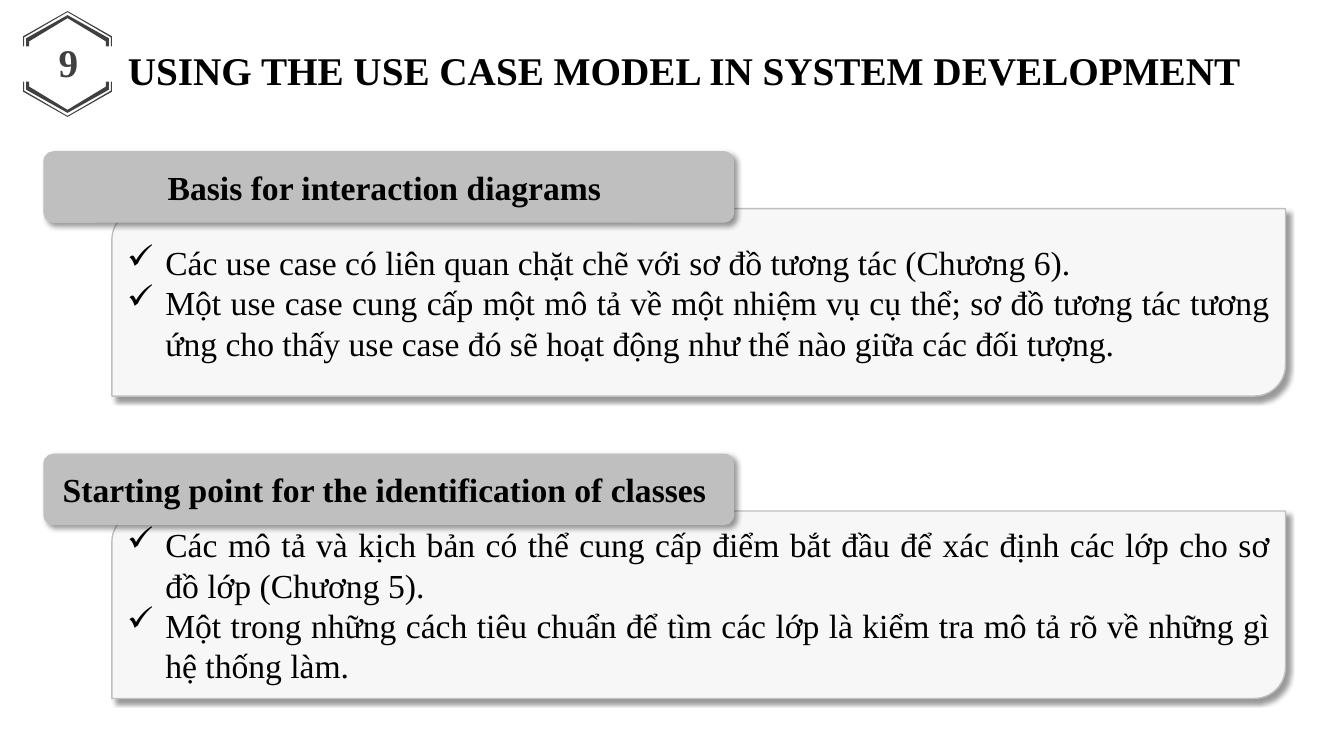
"""Builds the slide on using the use case model in system development."""
from lxml import etree
from pptx import Presentation, util as u
from pptx.dml.color import RGBColor
from pptx.enum import shapes, text
from pptx.oxml import ns

TITLE = "USING THE USE CASE MODEL IN SYSTEM DEVELOPMENT"
NUMBER = "9"
SECTIONS = [
    ("Basis for interaction diagrams ", [
        "Các use case có liên quan chặt chẽ với sơ đồ tương tác (Chương 6).",
        "Một use case cung cấp một mô tả về một nhiệm vụ cụ thể; sơ đồ tương tác "
        "tương ứng cho thấy use case đó sẽ hoạt động như thế nào giữa các đối tượng.",
    ]),
    ("Starting point for the identification of classes ", [
        "Các mô tả và kịch bản có thể cung cấp điểm bắt đầu để xác định các lớp "
        "cho sơ đồ lớp (Chương 5).",
        "Một trong những cách tiêu chuẩn để tìm các lớp là kiểm tra mô tả rõ về "
        "những gì hệ thống làm.",
    ]),
]

BLACK = RGBColor(0x00, 0x00, 0x00)
DARK = RGBColor(0x40, 0x40, 0x40)
GREY = RGBColor(0xBF, 0xBF, 0xBF)
PALE = RGBColor(0xF7, 0xF7, 0xF7)
FONT = "Times New Roman"

FIRST_TOP, PITCH = 1.5, 3
PANEL_DROP = 0.57
INDENT = 0.38
BADGE_X, BADGE_Y = 0.67, 0.635
BADGE_CUT = 0.175
# half width, apex and shoulder distance from the badge centre, line thickness
BADGE_RINGS = [(0.44, 0.525, 0.275, 0.01), (0.41, 0.485, 0.255, 0.03)]


def inches(*values):
    return [u.Inches(v) for v in values]


def add_run(p, words, size, color=BLACK, bold=False):
    r = p.add_run()
    r.text = words
    r.font.name, r.font.size, r.font.bold = FONT, u.Pt(size), bold
    r.font.color.rgb = color


def add_shadow(sp):
    effects = etree.SubElement(sp._element.spPr, ns.qn("a:effectLst"))
    shadow = etree.SubElement(effects, ns.qn("a:outerShdw"), blurRad=str(u.Pt(4)),
                              dist=str(u.Pt(3)), dir=str(45 * 60000),
                              algn="tl", rotWithShape="0")
    color = etree.SubElement(shadow, ns.qn("a:srgbClr"), val="000000")
    etree.SubElement(color, ns.qn("a:alpha"), val="40000")


def add_box(s, kind, place, fill, line=None):
    sp = s.shapes.add_shape(kind, *inches(*place))
    sp.fill.solid()
    sp.fill.fore_color.rgb = fill
    if line is None:
        sp.line.fill.background()
    else:
        sp.line.color.rgb, sp.line.width = line, u.Pt(1)
    add_shadow(sp)
    sp.text_frame.vertical_anchor = text.MSO_ANCHOR.MIDDLE
    return sp


def add_panel(s, top, points):
    sp = add_box(s, shapes.MSO_SHAPE.ROUND_2_DIAG_RECTANGLE,
                 (1.11, top, 11.64, 1.86), PALE, GREY)
    tf = sp.text_frame
    tf.word_wrap = True
    tf.margin_left, tf.margin_top, tf.margin_right, tf.margin_bottom = inches(
        0.06, 0.03, 0.06, 0.03)
    for i, point in enumerate(points):
        p = tf.add_paragraph() if i else tf.paragraphs[0]
        p.alignment = text.PP_ALIGN.JUSTIFY
        pPr = p._p.get_or_add_pPr()
        pPr.set("marL", str(u.Inches(INDENT)))
        pPr.set("indent", str(-u.Inches(INDENT)))
        etree.SubElement(pPr, ns.qn("a:buChar"), char="✓")
        add_run(p, point, 24)


def add_heading(s, top, words):
    sp = add_box(s, shapes.MSO_SHAPE.ROUNDED_RECTANGLE, (0.43, top, 6.85, 0.71), GREY)
    sp.adjustments[0] = 0.14
    sp.text_frame.word_wrap = False
    p = sp.text_frame.paragraphs[0]
    p.alignment = text.PP_ALIGN.CENTER
    add_run(p, words, 24, bold=True)


def add_chevron(s, ring, side):
    half, apex, shoulder, thick = ring
    inner = half - thick
    outline = [(-half, BADGE_CUT), (-half, shoulder), (0, apex),
               (half, shoulder), (half, BADGE_CUT), (inner, BADGE_CUT),
               (inner, shoulder - thick), (0, apex - thick),
               (-inner, shoulder - thick), (-inner, BADGE_CUT)]
    points = [inches(BADGE_X + x, BADGE_Y + side * y) for x, y in outline]
    builder = s.shapes.build_freeform(*points[0])
    builder.add_line_segments(points[1:], close=True)
    sp = builder.convert_to_shape()
    sp.shadow.inherit = False
    sp.fill.solid()
    sp.fill.fore_color.rgb = DARK
    sp.line.fill.background()


def add_label(s, place, words, color):
    tf = s.shapes.add_textbox(*inches(*place)).text_frame
    tf.word_wrap = True
    add_run(tf.paragraphs[0], words, 28, color, True)
    return tf


def main():
    prs = Presentation()
    prs.slide_width, prs.slide_height = inches(13.33, 7.5)
    s = prs.slides.add_slide(prs.slide_layouts[6])

    title = add_label(s, (1.17, 0.18, 11.27, 0.81), TITLE, BLACK)
    title.paragraphs[0].line_spacing = 1.5
    title.paragraphs[0].space_after = u.Pt(6)

    number = add_label(s, (0.21, 0.29, 0.94, 0.65), NUMBER, DARK)
    number.vertical_anchor = text.MSO_ANCHOR.MIDDLE
    number.paragraphs[0].alignment = text.PP_ALIGN.CENTER
    for side in (-1, 1):
        for ring in BADGE_RINGS:
            add_chevron(s, ring, side)

    for i, (heading, points) in enumerate(SECTIONS):
        top = FIRST_TOP + i * PITCH
        add_panel(s, top + PANEL_DROP, points)
        add_heading(s, top, heading)

    prs.save("out.pptx")


if __name__ == "__main__":
    main()
